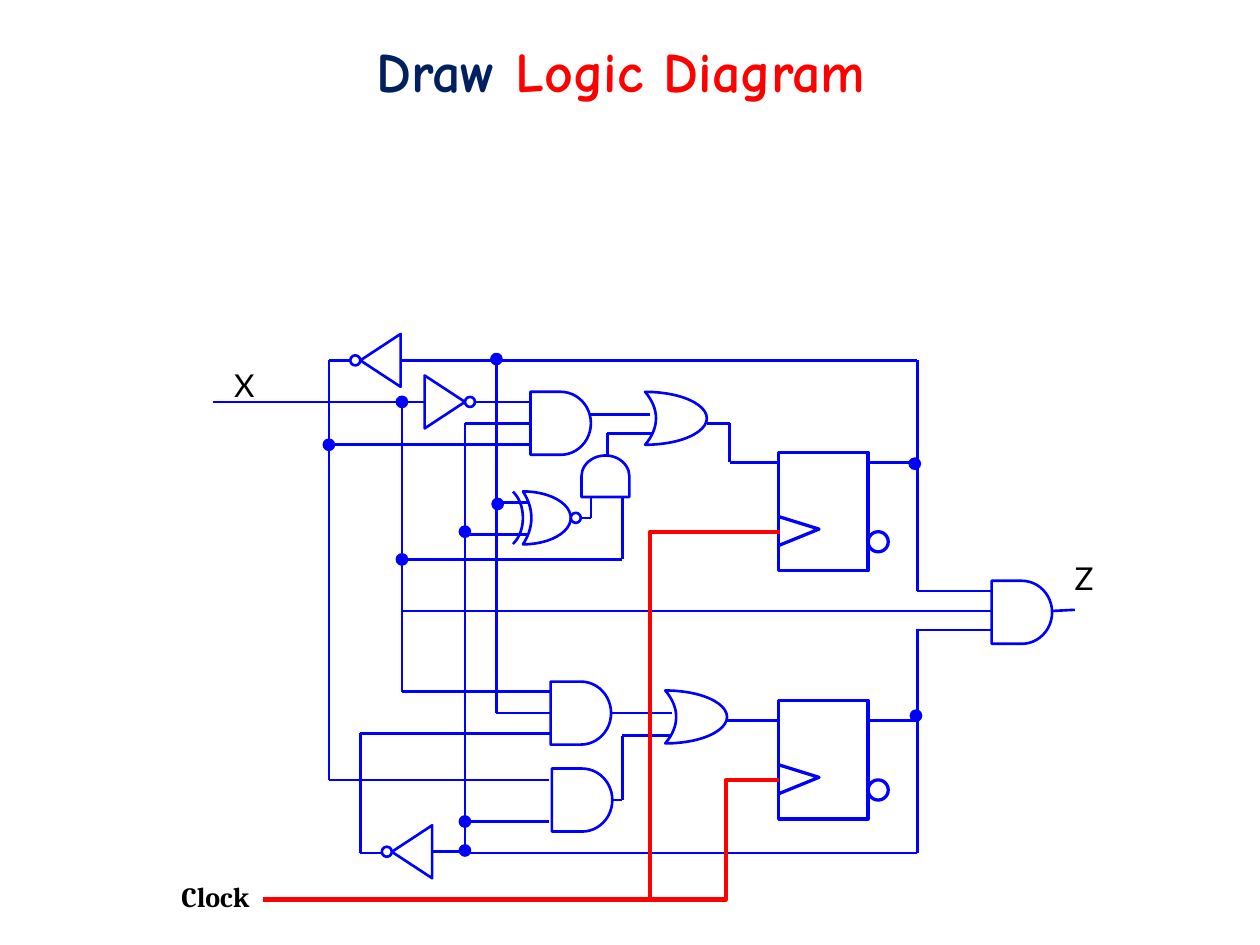
from itertools import pairwise
from math import cos, radians, sin

from lxml.etree import SubElement
from pptx import Presentation
from pptx.dml.color import RGBColor
from pptx.enum.shapes import MSO_CONNECTOR as CONN, MSO_SHAPE as SHP
from pptx.enum.text import MSO_ANCHOR as ANCHOR, PP_ALIGN as ALIGN
from pptx.oxml.ns import qn
from pptx.util import Inches, Pt

BLUE, RED, NAVY, WHITE, BLACK = "0000FF", "FF0000", "002060", "FFFFFF", "000000"
DOT = 0.08


def rgb(value):
    return RGBColor.from_string(value)


def outline(sp, color=BLUE, width=1.5):
    sp.line.color.rgb = rgb(color)
    sp.line.width = Pt(width)


def shape(s, kind, x, y, w, h, fill=WHITE, width=1.5, rotation=0):
    sp = s.shapes.add_shape(kind, Inches(x), Inches(y), Inches(w), Inches(h))
    sp.shadow.inherit = False
    sp.rotation = rotation
    sp.fill.solid()
    sp.fill.fore_color.rgb = rgb(fill)
    outline(sp, width=width)
    return sp


def polyline(s, points, color=BLUE, width=1.5):
    start, *rest = [(Inches(x), Inches(y)) for x, y in points]
    builder = s.shapes.build_freeform(*start)
    builder.add_line_segments(rest, close=False)
    sp = builder.convert_to_shape()
    sp.shadow.inherit = False
    sp.fill.background()
    outline(sp, color, width)


def wire(s, x, y, *points):
    for (x1, y1), (x2, y2) in pairwise(points):
        c = s.shapes.add_connector(CONN.STRAIGHT, Inches(x + x1), Inches(y + y1),
                                   Inches(x + x2), Inches(y + y2))
        outline(c)
        SubElement(c._element.spPr, qn("a:effectLst"))


def dots(s, x, y, *centers):
    for cx, cy in centers:
        shape(s, SHP.OVAL, x + cx - DOT / 2, y + cy - DOT / 2, DOT, DOT, BLUE)


def label(s, text, x, y, w, h, font, size, bold=False, margin=None):
    tf = s.shapes.add_textbox(Inches(x), Inches(y), Inches(w), Inches(h)).text_frame
    tf.word_wrap = False
    if margin is not None:
        tf.margin_left = tf.margin_right = tf.margin_top = tf.margin_bottom = margin
    p = tf.paragraphs[0]
    p.text = text
    p.font.name, p.font.size, p.font.bold = font, Pt(size), bold
    p.font.color.rgb = rgb(BLACK)


def and_gate(s, x, y):
    shape(s, SHP.FLOWCHART_DELAY, x, y, 0.48, 0.5)


def or_gate(s, x, y, w=0.49):
    sp = shape(s, SHP.MOON, x, y, w, 0.42, rotation=180)
    sp.adjustments[0] = 0.823


def xnor_gate(s, x, y):
    or_gate(s, x + 0.17, y, 0.38)
    arc = [radians(a) for a in range(-58, 59, 4)]
    polyline(s, [(x + 0.17 * cos(a), y + 0.21 + 0.245 * sin(a)) for a in arc])
    shape(s, SHP.OVAL, x + 0.55, y + 0.17, DOT, DOT)


def inverter(s, x, y, to_right):
    shape(s, SHP.ISOSCELES_TRIANGLE, x - 0.05, y + 0.05, 0.42, 0.32,
          rotation=90 if to_right else 270)
    shape(s, SHP.OVAL, x + (0.32 if to_right else -DOT), y + 0.17, DOT, DOT)


def flip_flop(s, x, y):
    shape(s, SHP.RECTANGLE, x, y, 0.71, 0.94, width=1.88)
    shape(s, SHP.OVAL, x + 0.71, y + 0.63, 0.16, 0.16, width=1.88)
    polyline(s, [(x, y + 0.51), (x + 0.32, y + 0.61), (x, y + 0.74)], width=1.88)


def feedback(s, x, y):
    wire(s, x, y, (6.28, 2.69), (6.28, 0.86), (2.15, 0.86))
    wire(s, x, y, (1.78, 0.86), (1.61, 0.86), (1.61, 4.19), (3.36, 4.19))
    wire(s, x, y, (2.94, 0.86), (2.94, 3.66), (3.37, 3.66))
    wire(s, x, y, (6.28, 2.99), (6.28, 4.77), (2.69, 4.77))
    wire(s, x, y, (2.69, 4.76), (2.4, 4.76))
    wire(s, x, y, (2.69, 4.78), (2.69, 1.36), (3.21, 1.36))
    wire(s, x, y, (2.03, 4.77), (1.86, 4.77), (1.86, 3.82), (3.37, 3.82))
    inverter(s, x + 1.86, y + 0.65, False)
    inverter(s, x + 2.11, y + 4.55, False)
    dots(s, x, y, (2.94, 0.85), (2.69, 4.75), (6.26, 1.68), (6.27, 3.68))


def upper_logic(s, x, y):
    wire(s, x, y, (0.69, 1.19), (2.4, 1.19))
    wire(s, x, y, (2.78, 1.19), (3.21, 1.19))
    wire(s, x, y, (1.61, 1.53), (3.21, 1.53))
    wire(s, x, y, (3.67, 1.29), (4.16, 1.29))
    wire(s, x, y, (2.94, 1.99), (3.2, 1.99))
    wire(s, x, y, (2.69, 2.24), (3.2, 2.24))
    wire(s, x, y, (3.61, 2.11), (3.69, 2.11), (3.69, 1.94))
    wire(s, x, y, (2.19, 2.44), (3.94, 2.44), (3.94, 1.94))
    wire(s, x, y, (3.82, 1.61), (3.82, 1.44), (4.21, 1.44))
    wire(s, x, y, (4.61, 1.36), (4.79, 1.36), (4.79, 1.67), (5.19, 1.67))
    wire(s, x, y, (5.86, 1.67), (6.28, 1.67))
    inverter(s, x + 2.37, y + 0.98, True)
    and_gate(s, x + 3.21, y + 1.11)
    xnor_gate(s, x + 2.98, y + 1.9)
    shape(s, SHP.FLOWCHART_DELAY, x + 3.64, y + 1.59, 0.33, 0.38, rotation=270)
    or_gate(s, x + 4.12, y + 1.11)
    dots(s, x, y, (2.19, 1.19), (1.61, 1.53), (2.95, 2), (2.69, 2.22), (2.19, 2.44))
    label(s, "X", x + 0.76, y + 0.86, 0.35, 0.4, "Lato", 18)


def lower_logic(s, x, y):
    wire(s, x, y, (2.19, 1.18), (2.19, 3.49), (3.37, 3.49))
    wire(s, x, y, (2.69, 4.52), (3.36, 4.52))
    wire(s, x, y, (3.83, 3.66), (4.33, 3.66))
    wire(s, x, y, (3.86, 4.35), (3.94, 4.35), (3.94, 3.84), (4.33, 3.84))
    wire(s, x, y, (4.77, 3.72), (5.19, 3.72))
    wire(s, x, y, (5.86, 3.72), (6.28, 3.72))
    and_gate(s, x + 3.37, y + 3.41)
    and_gate(s, x + 3.38, y + 4.1)
    or_gate(s, x + 4.28, y + 3.48)
    dots(s, x, y, (2.69, 4.52))


def output(s, x, y):
    wire(s, x, y, (6.28, 2.69), (6.87, 2.69))
    wire(s, x, y, (2.19, 2.85), (6.87, 2.85))
    wire(s, x, y, (6.28, 3), (6.87, 3))
    wire(s, x, y, (7.33, 2.85), (7.53, 2.84))
    and_gate(s, x + 6.87, y + 2.61)
    label(s, "Z", x + 7.43, y + 2.39, 0.34, 0.4, "Lato", 18)


def clock(s, x, y):
    polyline(s, [(x + 5.18, y + 4.19), (x + 4.76, y + 4.19), (x + 4.76, y + 5.14),
                 (x + 1.09, y + 5.14)], RED, 2.5)
    polyline(s, [(x + 5.19, y + 2.22), (x + 4.16, y + 2.22), (x + 4.16, y + 5.14)],
             RED, 2.5)
    label(s, "Clock", x + 0.44, y + 4.98, 0.57, 0.27, "Cambria", 16, True, 0)


def title(s, x, y, w, h):
    sp = s.shapes.title
    sp.left, sp.top, sp.width, sp.height = map(Inches, (x, y, w, h))
    tf = sp.text_frame
    tf.vertical_anchor = ANCHOR.MIDDLE
    p = tf.paragraphs[0]
    p.alignment = ALIGN.CENTER
    p.font.name, p.font.size, p.font.bold = "Comic Neue", Pt(32), True
    for text, color in (("Draw ", NAVY), ("Logic Diagram", RED)):
        r = p.add_run()
        r.text = text
        r.font.color.rgb = rgb(color)


def main():
    prs = Presentation()
    prs.slide_width, prs.slide_height = Inches(10), Inches(7.5)
    s = prs.slides.add_slide(prs.slide_layouts[5])
    title(s, 0.68, 0, 8.5, 1.12)
    for region in (feedback, upper_logic, lower_logic, output):
        region(s, 1, 2)
    for top in (3.59, 5.56):
        flip_flop(s, 6.18, top)
    clock(s, 1, 2)
    prs.save("out.pptx")


if __name__ == "__main__":
    main()
